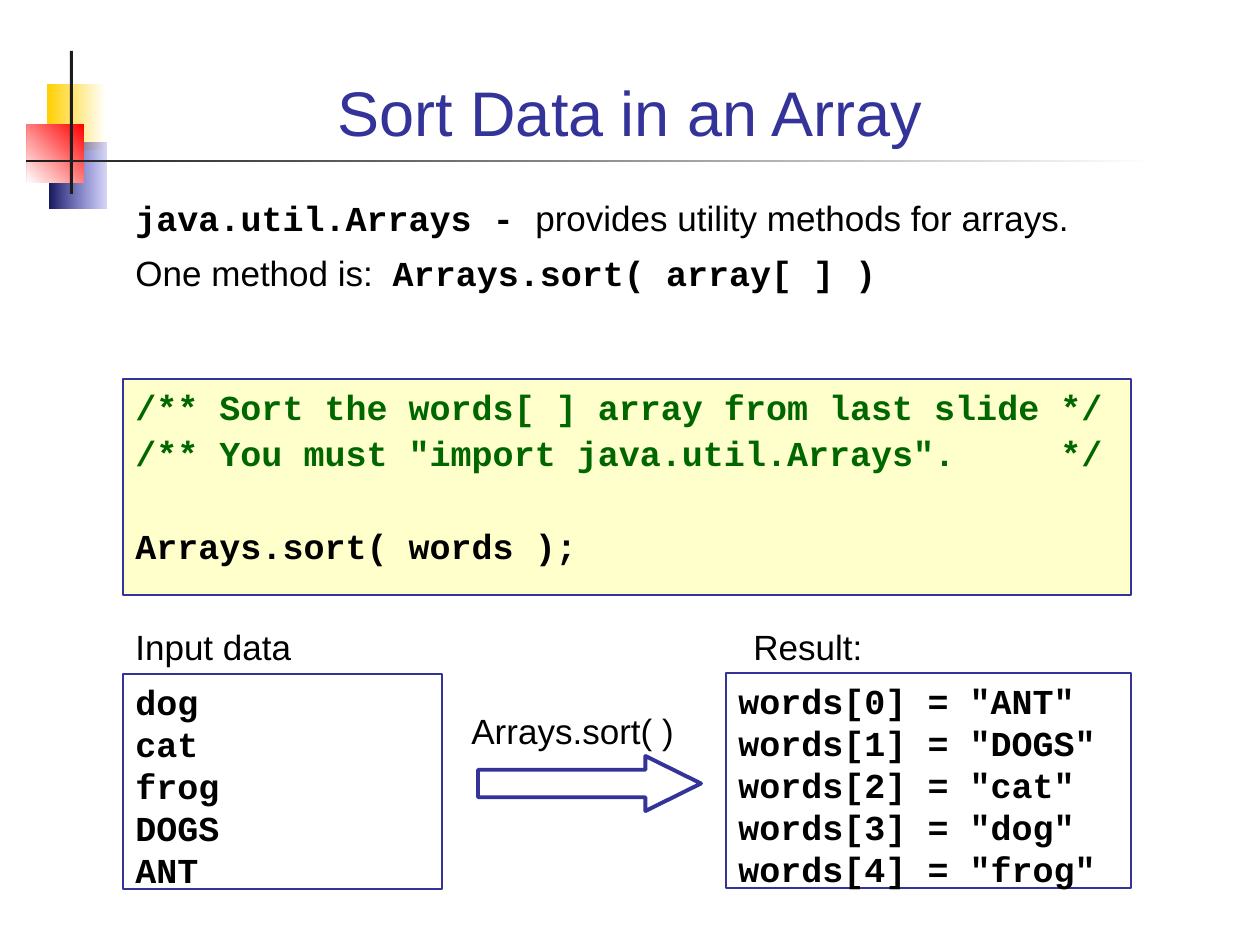
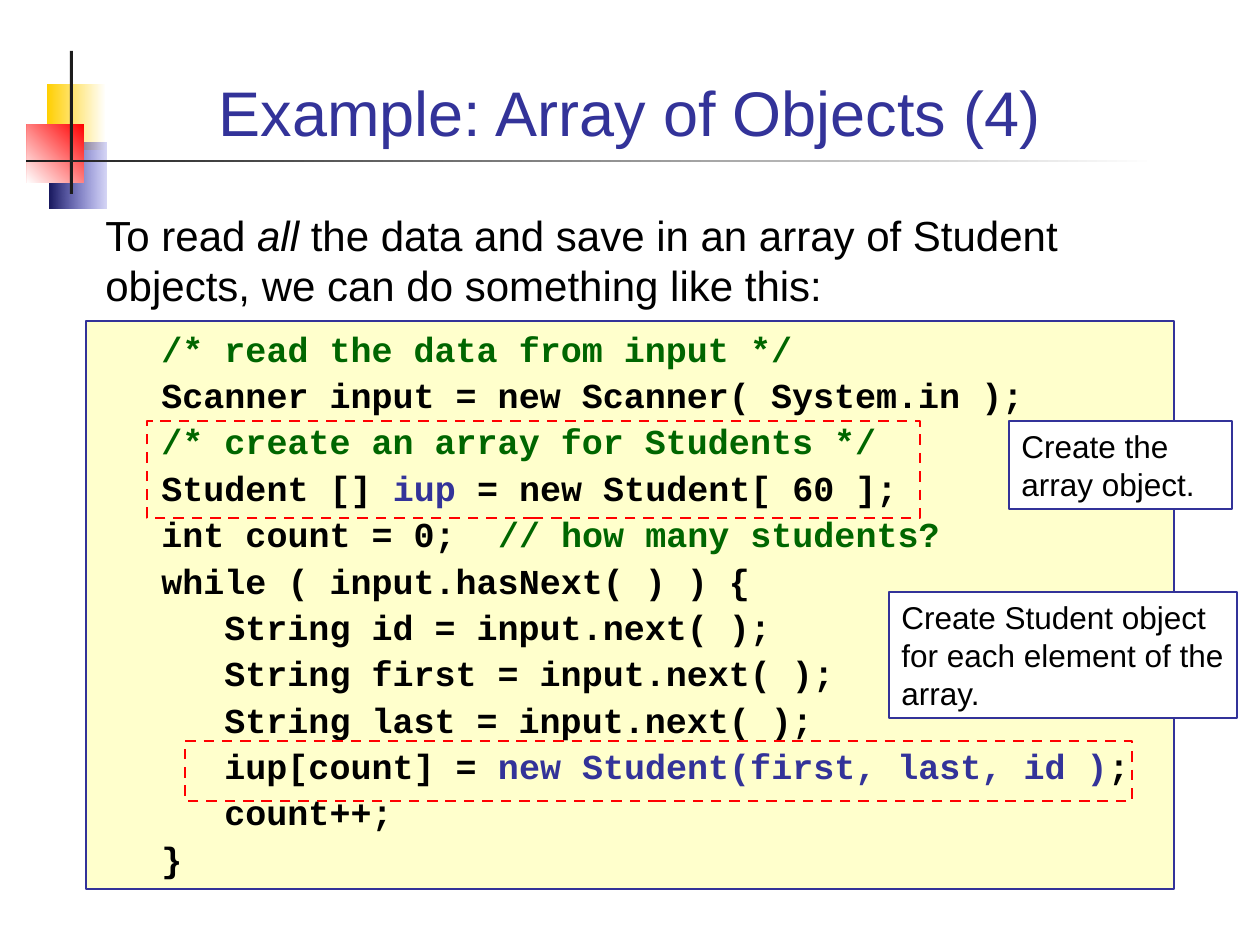
import pptx
import pptx.dml.color
import pptx.enum.dml
import pptx.enum.shapes
import pptx.enum.text
import pptx.oxml
import pptx.oxml.ns
import pptx.util

PX = 914400 / 126
SHAPES = pptx.enum.shapes.MSO_SHAPE
ALIGN = pptx.enum.text.PP_ALIGN
ANCHOR = pptx.enum.text.MSO_ANCHOR

THEME = {
    "ink": "000000", "accent": "333399", "comment": "006600", "paper": "FFFFFF",
    "code_fill": "FFFFCC", "highlight": "FF0000", "rule": "1C1C1C",
    "title_size": 36, "lead_size": 24, "text_size": 20, "note_size": 18,
    "line_pitch": 1.2, "code_gap": 2.5, "tab": 63,
}
CODE_FONT = {"name": "Courier New", "bold": True}
STYLES = {
    "body": ({"name": "Arial"}, "ink"),
    "italic": ({"name": "Arial", "italic": True}, "ink"),
    "title": ({"name": "Arial"}, "accent"),
    "code": (CODE_FONT, "ink"),
    "comment": (CODE_FONT, "comment"),
    "code_accent": (CODE_FONT, "accent"),
}

# Gradient blocks: place, start colour, end colour, angle, start opacity in percent
GRADIENT_BLOCKS = [
    ((47, 84, 59, 66), "FFFFFF", "FFCF01", 180, 100),
    ((49, 143, 57, 66), "3333CC", "17175E", 180, 20),
    ((27, 124, 57, 59), "FF0000", "FFFFFF", 225, 100),
]
VERTICAL_RULE = (70, 51, 3, 143)
HORIZONTAL_RULE = ((26, 160, 1131, 2), "FFFFFF", THEME["rule"], 180, 100)
TITLE_PLACE = (84, 35, 1092, 120)

SORT_TITLE = "Sort Data in an Array"
SORT_INTRO = [
    [("java.util.Arrays - ", "code"), ("provides utility methods for arrays.", "body")],
    [("One method is:  ", "body"), ("Arrays.sort( array[ ] )", "code")],
]
SORT_COMMENTS = [
    "/** Sort the words[ ] array from last slide */",
    '/** You must "import java.util.Arrays".     */',
]
SORT_CALL = "Arrays.sort( words );"
INPUT_WORDS = ["dog", "cat", "frog", "DOGS", "ANT"]
SORTED_WORDS = ["ANT", "DOGS", "cat", "dog", "frog"]
SORT_LABELS = [
    ("Input data", (123, 619, 315, 55)),
    ("Result:", (741, 619, 315, 55)),
    ("Arrays.sort( )", (459, 703, 228, 55)),
]

OBJECTS_TITLE = "Example: Array of Objects (4)"
OBJECTS_LEAD = [[
    ("To read ", "body"), ("all", "italic"),
    (" the data and save in an array of Student objects, "
     "we can do something like this:", "body"),
]]
# Each line of the program: indent level, then its spans
OBJECTS_CODE = [
    (1, [("/* read the data from input */", "comment")]),
    (1, [("Scanner input = new Scanner( System.in );", "code")]),
    (1, [("/* create an array for Students */", "comment")]),
    (1, [("Student [] ", "code"), ("iup", "code_accent"), (" = new Student[ 60 ];", "code")]),
    (1, [("int count = 0;  ", "code"), ("// how many students?", "comment")]),
    (1, [("while ( input.hasNext( ) ) {", "code")]),
    (2, [("String id = input.next( );", "code")]),
    (2, [("String first = input.next( );", "code")]),
    (2, [("String last = input.next( );", "code")]),
    (2, [("iup[count] = ", "code"), ("new Student(first, last, id )", "code_accent"),
         (";", "code")]),
    (2, [("count++;", "code")]),
    (1, [("}", "code")]),
]
HIGHLIGHTS = [(147, 421, 773, 97), (185, 741, 947, 60)]
NOTES = [
    ("Create Student object for each element of the array.", (889, 592, 348, 126)),
    ("Create the array object.", (1009, 421, 223, 88)),
]


def rgb(value):
    return pptx.dml.color.RGBColor.from_string(THEME.get(value, value))


def emu(place):
    return [round(length * PX) for length in place]


def add_shape(page, place, fill=None, line=None, width=1.5, kind=SHAPES.RECTANGLE):
    shape = page.shapes.add_shape(kind, *emu(place))
    shape.shadow.inherit = False
    if fill:
        shape.fill.solid()
        shape.fill.fore_color.rgb = rgb(fill)
    else:
        shape.fill.background()
    if line:
        shape.line.color.rgb = rgb(line)
        shape.line.width = pptx.util.Pt(width)
    else:
        shape.line.fill.background()
    return shape


def add_gradient(page, place, start, end, angle, opacity):
    shape = add_shape(page, place)
    shape.fill.gradient()
    shape.fill.gradient_angle = angle
    for stop, color in zip(shape.fill.gradient_stops, (start, end)):
        stop.color.rgb = rgb(color)
    if opacity < 100:
        color_element = next(shape._element.iter(pptx.oxml.ns.qn("a:srgbClr")))
        alpha = pptx.oxml.parse_xml(
            f'<a:alpha {pptx.oxml.ns.nsdecls("a")} val="{opacity * 1000}"/>')
        color_element.append(alpha)


def write(box, paragraphs, size, gap=0, gaps=None, levels=None,
          align=ALIGN.LEFT, anchor=ANCHOR.TOP):
    """Fill a box with paragraphs of (text, style) spans; gaps overrides gap by index."""
    frame = box.text_frame
    frame.word_wrap = True
    frame.vertical_anchor = anchor
    for index, spans in enumerate(paragraphs):
        para = frame.paragraphs[0] if index == 0 else frame.add_paragraph()
        space = (gaps or {}).get(index, gap) if index else 0
        layout = {
            "alignment": align,
            "line_spacing": pptx.util.Pt(size * THEME["line_pitch"]),
            "space_before": pptx.util.Pt(space),
        }
        for name, value in layout.items():
            setattr(para, name, value)
        if levels:
            properties = para._p.get_or_add_pPr()
            properties.set("marL", str(round(levels[index] * THEME["tab"] * PX)))
            properties.set("indent", "0")
        for text, style in spans:
            span = para.add_run()
            span.text = text
            formats, color = STYLES[style]
            for name, value in {**formats, "size": pptx.util.Pt(size)}.items():
                setattr(span.font, name, value)
            span.font.color.rgb = rgb(color)


def add_text(page, place, paragraphs, size, **options):
    write(page.shapes.add_textbox(*emu(place)), paragraphs, size, **options)


def one_style(lines, style):
    return [[(line, style)] for line in lines]


def add_page(deck, title):
    """Add a blank page with the shared ornament and its title."""
    page = deck.slides.add_slide(deck.slide_layouts[6])
    for block in GRADIENT_BLOCKS:
        add_gradient(page, *block)
    add_shape(page, VERTICAL_RULE, fill="rule")
    add_gradient(page, *HORIZONTAL_RULE)
    add_text(page, TITLE_PLACE, one_style([title], "title"), THEME["title_size"],
             align=ALIGN.CENTER, anchor=ANCHOR.BOTTOM)
    return page


def build_sort_page(deck):
    page = add_page(deck, SORT_TITLE)
    size, gap = THEME["text_size"], THEME["code_gap"]
    program = one_style(SORT_COMMENTS, "comment") + one_style([SORT_CALL], "code")
    skipped_line = size * THEME["line_pitch"] + 2 * gap
    code_box = add_shape(page, (123, 379, 1008, 216), "code_fill", "accent")
    write(code_box, program, size, gap=gap, gaps={len(SORT_COMMENTS): skipped_line})
    add_text(page, (123, 190, 1013, 110), SORT_INTRO, size, gap=7.5)

    results = [f'words[{index}] = "{word}"' for index, word in enumerate(SORTED_WORDS)]
    for lines, place in ((INPUT_WORDS, (123, 674, 319, 215)),
                         (results, (726, 673, 405, 215))):
        write(add_shape(page, place, line="accent"), one_style(lines, "code"), size)
    for label, place in SORT_LABELS:
        add_text(page, place, one_style([label], "body"), size)
    arrow = add_shape(page, (478, 756, 223, 55), line="accent", width=2.25,
                      kind=SHAPES.RIGHT_ARROW)
    arrow.adjustments[1] = 1.01


def build_objects_page(deck):
    page = add_page(deck, OBJECTS_TITLE)
    levels, program = zip(*OBJECTS_CODE)
    code_box = add_shape(page, (86, 321, 1088, 568), "code_fill", "accent", 0.75)
    write(code_box, program, THEME["text_size"], gap=THEME["code_gap"], levels=levels)
    add_text(page, (93, 203, 1114, 113), OBJECTS_LEAD, THEME["lead_size"])
    for place in HIGHLIGHTS:
        frame = add_shape(page, place, line="highlight")
        frame.line.dash_style = pptx.enum.dml.MSO_LINE.DASH
    for note, place in NOTES:
        note_box = add_shape(page, place, "paper", "accent", 1)
        write(note_box, one_style([note], "body"), THEME["note_size"])


def main():
    deck = pptx.Presentation()
    deck.slide_width, deck.slide_height = emu((1260, 945))
    build_sort_page(deck)
    build_objects_page(deck)
    deck.save("out.pptx")


if __name__ == "__main__":
    main()
